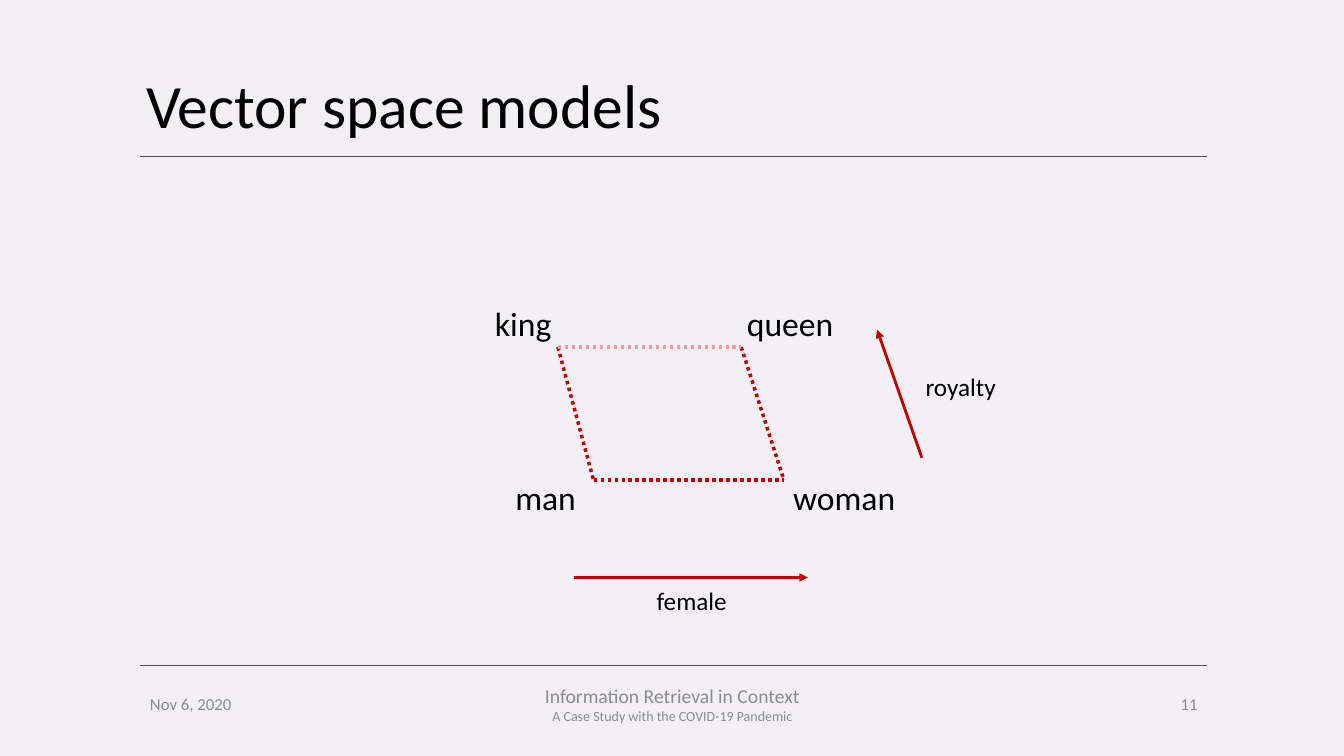
import pptx
import pptx.dml.color
import pptx.enum.dml
import pptx.enum.shapes
import pptx.enum.text
import pptx.oxml
import pptx.oxml.ns
import pptx.util

Pt = pptx.util.Pt
ALIGN = pptx.enum.text.PP_ALIGN
ANCHOR = pptx.enum.text.MSO_ANCHOR
DOTTED = pptx.enum.dml.MSO_LINE.ROUND_DOT

FONT = "Calibri"
COLORS = {
    "background": "F2F0F4",
    "text": "000000",
    "footer": "8C8C8C",
    "rule": "505050",
    "red": "C00000",
    "pink": "F898A0",
}


def rgb(name):
    return pptx.dml.color.RGBColor.from_string(COLORS[name])


def add_text(s, box, lines, color="text", align=ALIGN.LEFT,
             anchor=ANCHOR.TOP, wrap=True, spacing=None):
    """Add a text box with one paragraph per (text, size) pair."""
    tf = s.shapes.add_textbox(*map(Pt, box)).text_frame
    for name, value in {"word_wrap": wrap, "vertical_anchor": anchor}.items():
        setattr(tf, name, value)
    for i, (text, size) in enumerate(lines):
        p = tf.paragraphs[0] if i == 0 else tf.add_paragraph()
        for name, value in {"alignment": align, "line_spacing": spacing}.items():
            setattr(p, name, value)
        r = p.add_run()
        r.text = text
        for name, value in {"name": FONT, "size": Pt(size)}.items():
            setattr(r.font, name, value)
        r.font.color.rgb = rgb(color)


def add_line(s, start, end, color, width, dash=None, arrow=False):
    kind = pptx.enum.shapes.MSO_CONNECTOR.STRAIGHT
    sp = s.shapes.add_connector(kind, *map(Pt, start + end))
    sp.line.color.rgb = rgb(color)
    for name, value in {"width": Pt(width), "dash_style": dash}.items():
        setattr(sp.line, name, value)
    if arrow:
        ns = pptx.oxml.ns.nsdecls("a")
        tail = pptx.oxml.parse_xml(f'<a:tailEnd {ns} type="triangle"/>')
        sp.line._get_or_add_ln().append(tail)
    effects = pptx.oxml.parse_xml(f'<a:effectLst {pptx.oxml.ns.nsdecls("a")}/>')
    sp._element.spPr.append(effects)


def add_header(s, x, y, w, h):
    """Add the title and the rule along the bottom of the box."""
    add_text(s, (x - 2.8, y, w, h - 7), [("Vector space models", 44)],
             anchor=ANCHOR.MIDDLE, spacing=0.9)
    rule_y = y + h - 21.6
    add_line(s, (x, rule_y), (x + w, rule_y), "rule", 1)


def add_footer(s, x, y, w, h):
    """Add the rule along the top of the box and three texts below it."""
    add_line(s, (x, y), (x + w, y), "rule", 1)
    top = y + 13
    side, middle = 184, 324
    items = [
        (x, side, [("Nov 6, 2020", 12)], ALIGN.LEFT),
        (x + (w - middle) / 2 - 1, middle,
         [("Information Retrieval in Context", 14),
          ("A Case Study with the COVID-19 Pandemic", 10)], ALIGN.CENTER),
        (x + w - side, side, [("11", 12)], ALIGN.RIGHT),
    ]
    for left, width, lines, align in items:
        add_text(s, (left, top, width, h - 13), lines, "footer", align,
                 ANCHOR.MIDDLE)


def add_analogy(s, x, y, w, h):
    """Add the word parallelogram with its two direction arrows."""
    king, queen = (x + 52, y + 35.5), (x + 183, y + 35.5)
    man, woman = (x + 77.5, y + 130.5), (x + 213.5, y + 130.5)

    words = [
        ("king", 0, 0, 125),
        ("queen", 180, 0, 127),
        ("man", 14.5, 124.5, 101),
        ("woman", 213, 124.5, 134),
    ]
    for word, dx, dy, width in words:
        add_text(s, (x + dx, y + dy, width, 36), [(word, 24)])

    edges = [(queen, woman, "red"), (man, woman, "red"),
             (king, man, "red"), (king, queen, "pink")]
    for start, end, color in edges:
        add_line(s, start, end, color, 2.5, dash=DOTTED)

    female_y = y + h - 31
    add_line(s, (x + 63.5, female_y), (x + 230.5, female_y), "red", 2, arrow=True)
    add_text(s, (x + 115.5, y + h - 29, 65.5, 29), [("female", 18)], wrap=False)

    add_line(s, (x + w - 61, y + 114.5), (x + w - 93, y + 23), "red", 2, arrow=True)
    add_text(s, (x + w - 65.5, y + 49.5, 65.5, 29), [("royalty", 18)])


def main():
    prs = pptx.Presentation()
    prs.slide_width, prs.slide_height = Pt(960), Pt(540)
    s = prs.slides.add_slide(prs.slide_layouts[6])
    s.background.fill.solid()
    s.background.fill.fore_color.rgb = rgb("background")

    add_header(s, 100, 28.8, 762.5, 104.4)
    add_analogy(s, 346.5, 212.5, 373, 231)
    add_footer(s, 100, 475.2, 762.5, 42)
    prs.save("out.pptx")


if __name__ == "__main__":
    main()
